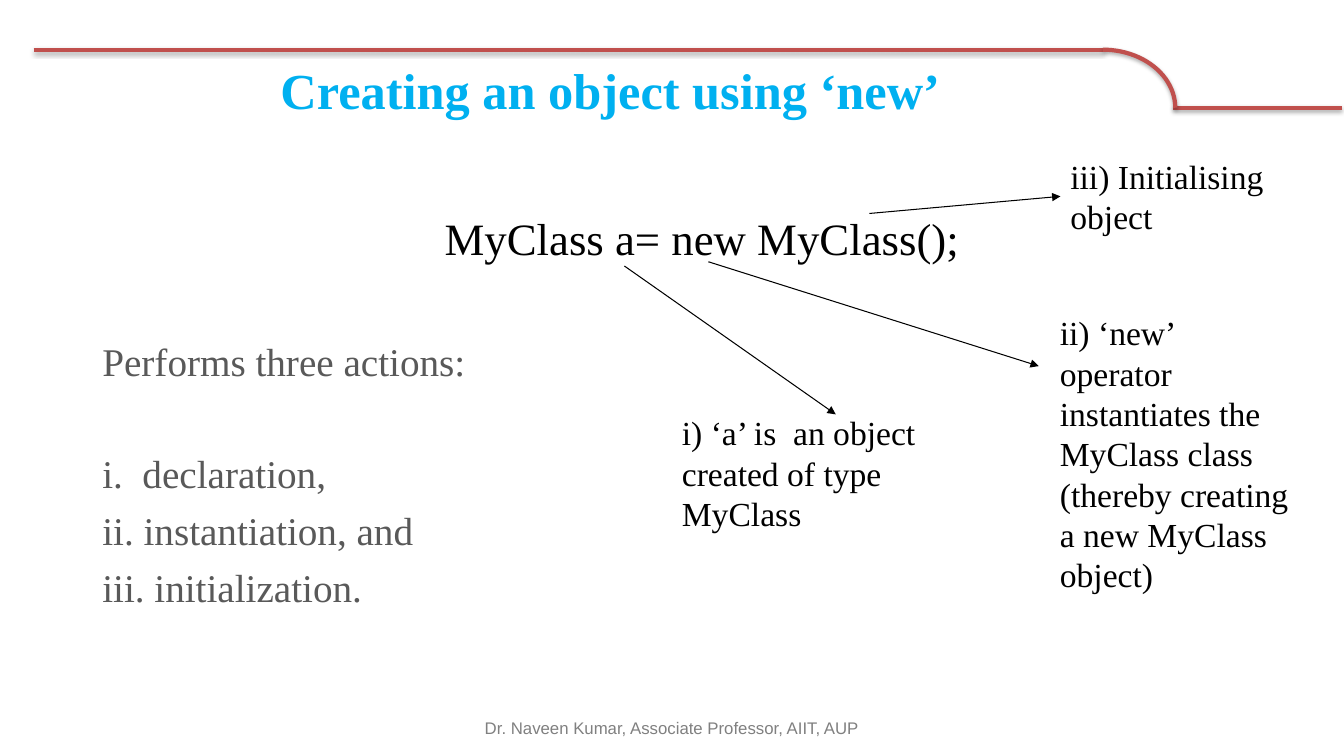
from lxml.etree import SubElement
from pptx import Presentation
from pptx.dml.color import RGBColor
from pptx.enum.shapes import MSO_CONNECTOR, MSO_SHAPE
from pptx.enum.text import MSO_ANCHOR, PP_ALIGN
from pptx.oxml.ns import qn
from pptx.util import Pt

COLORS = {"title": "00B0F0", "text": "000000", "body": "595959",
          "rule": "C0504D", "footer": "808080", "shadow": "000000"}
SERIF = "Times New Roman"

TITLE = "Creating an object using ‘new’"
FOOTER = "Dr. Naveen Kumar, Associate Professor, AIIT, AUP"
CODE = "MyClass a= new MyClass();"
ACTIONS = [
    ("Performs three actions:", 52),
    ("i.  declaration,", 46.5),
    ("ii. instantiation, and", 7),
    ("iii. initialization.", 7),
]
NOTES = [
    {"text": "i) ‘a’ is  an object created of type MyClass",
     "box": (480, 291, 233.5, 94.5), "arrow": (446, 190, 597, 296), "joined": False},
    {"text": "ii) ‘new’ operator instantiates the MyClass class (thereby creating a new MyClass object)",
     "box": (750, 219.5, 179.5, 211), "arrow": (506, 187, 742, 261.5), "joined": False},
    {"text": "iii) Initialising object",
     "box": (757.5, 107.5, 158.5, 65.5), "arrow": (621, 152.5, 757.5, 140.25), "joined": True},
]
RULE_TOP, RULE_BOTTOM = 35.5, 77
RULES = [(24, RULE_TOP, 788, RULE_TOP), (838, RULE_BOTTOM, 958.5, RULE_BOTTOM)]
CURVE = (736, RULE_TOP, 103.5, 2 * (RULE_BOTTOM - RULE_TOP))


def points(values):
    return [Pt(value) for value in values]


def color(name):
    return RGBColor.from_string(COLORS[name])


def write(para, text, size, tint, font=SERIF, bold=False, align=PP_ALIGN.LEFT):
    para.alignment = align
    span = para.add_run()
    span.text = text
    span.font.name = font
    span.font.size = Pt(size)
    span.font.bold = bold
    span.font.color.rgb = color(tint)


def add_box(page, place):
    box = page.shapes.add_textbox(*points(place))
    box.text_frame.word_wrap = True
    return box


def add_line(page, ends, tint, width):
    line = page.shapes.add_connector(MSO_CONNECTOR.STRAIGHT, *points(ends))
    line.line.color.rgb = color(tint)
    line.line.width = Pt(width)
    SubElement(line._element.spPr, qn("a:effectLst"))
    return line


def add_shadow(shape):
    effects = shape._element.spPr.find(qn("a:effectLst"))
    shadow = SubElement(effects, qn("a:outerShdw"), blurRad="40000", dist="23000",
                        dir="5400000", rotWithShape="0")
    tint = SubElement(shadow, qn("a:srgbClr"), val=COLORS["shadow"])
    SubElement(tint, qn("a:alpha"), val="35000")


def add_frame(page):
    for ends in RULES:
        add_shadow(add_line(page, ends, "rule", 3))
    curve = page.shapes.add_shape(MSO_SHAPE.ARC, *points(CURVE))
    curve.fill.background()
    curve.line.color.rgb = color("rule")
    curve.line.width = Pt(3)
    curve.shadow.inherit = False
    add_shadow(curve)


def add_title(page):
    title = page.shapes.title
    title.left, title.top, title.width, title.height = points((48, 38, 776, 52))
    title.text_frame.vertical_anchor = MSO_ANCHOR.MIDDLE
    write(title.text_frame.paragraphs[0], TITLE, 36, "title", bold=True, align=PP_ALIGN.CENTER)


def add_body(page):
    frame = add_box(page, (66, 147, 871, 340)).text_frame
    write(frame.paragraphs[0], CODE, 32, "text", align=PP_ALIGN.CENTER)
    for text, gap in ACTIONS:
        para = frame.add_paragraph()
        para.space_before = Pt(gap)
        write(para, text, 28, "body")


def add_note(page, note):
    box = add_box(page, note["box"])
    write(box.text_frame.paragraphs[0], note["text"], 24, "text")
    arrow = add_line(page, note["arrow"], "text", 0.75)
    SubElement(arrow.line._get_or_add_ln(), qn("a:tailEnd"), type="triangle")
    if note["joined"]:
        arrow.end_connect(box, 1)


def add_footer(page):
    frame = add_box(page, (328, 505.5, 304, 28.5)).text_frame
    frame.vertical_anchor = MSO_ANCHOR.MIDDLE
    write(frame.paragraphs[0], FOOTER, 12, "footer", font="Arial", align=PP_ALIGN.CENTER)


def main():
    deck = Presentation()
    deck.slide_width, deck.slide_height = Pt(960), Pt(540)
    page = deck.slides.add_slide(deck.slide_layouts[5])
    add_frame(page)
    add_title(page)
    add_body(page)
    for note in NOTES:
        add_note(page, note)
    add_footer(page)
    deck.save("out.pptx")


if __name__ == "__main__":
    main()
